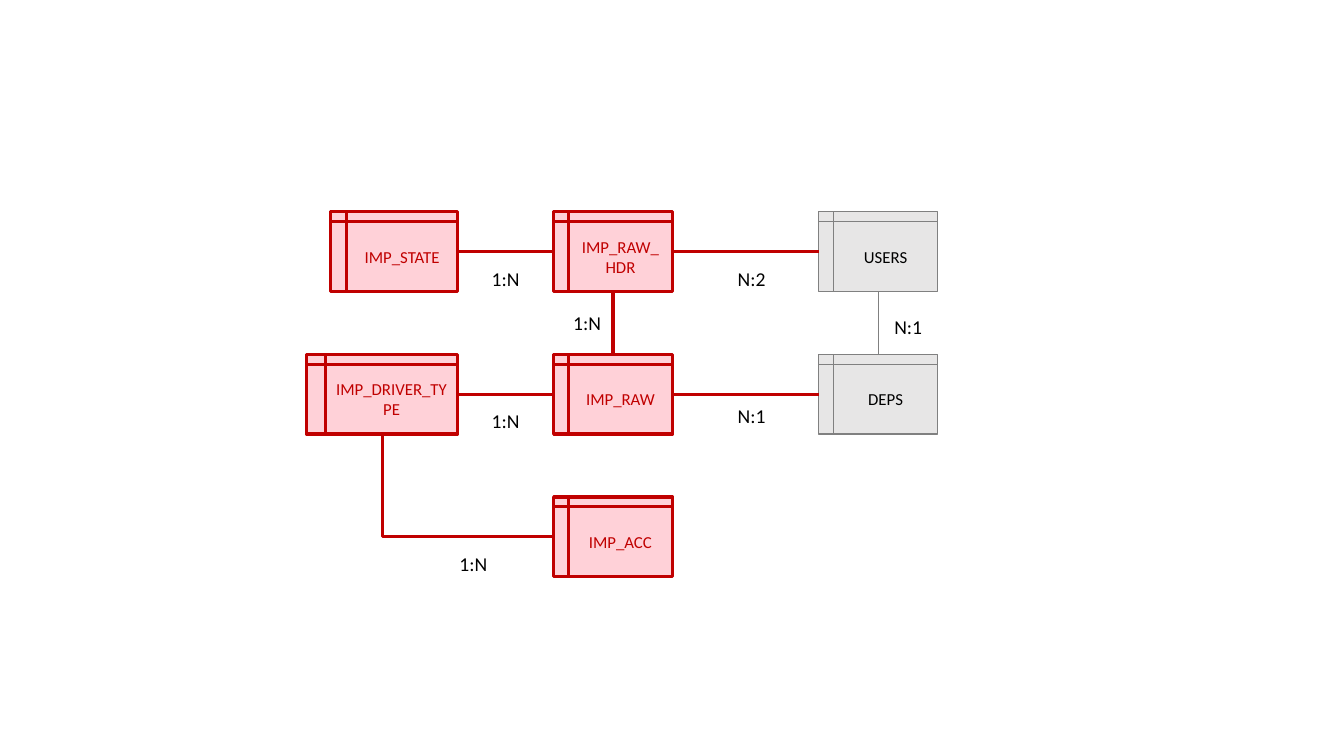
"""Builds an entity diagram of the import tables and their relations."""
import pptx
import pptx.util
import pptx.dml.color
import pptx.enum.shapes
import pptx.enum.text
import pptx.oxml.ns
import lxml.etree

Inches = pptx.util.Inches
Pt = pptx.util.Pt
Align = pptx.enum.text.PP_ALIGN
Connector = pptx.enum.shapes.MSO_CONNECTOR

TOP, LEFT, BOTTOM, RIGHT = range(4)
RED, PINK, GREY, PALE, BLACK = "C00000", "FFD1D8", "808080", "E7E6E6", "000000"


def color(value):
    return pptx.dml.color.RGBColor.from_string(value)


class Diagram:
    font = "Calibri"
    first_row, row_pitch, entity_height = 2.1, 1.415, 0.79

    def __init__(self, slide):
        self.shapes = slide.shapes

    def add_text(self, frame, text, size, ink, align):
        frame.word_wrap = True
        para = frame.paragraphs[0]
        para.alignment = align
        span = para.add_run()
        span.text = text
        span.font.name = self.font
        span.font.size = Pt(size)
        span.font.color.rgb = color(ink)

    def entity(self, name, left, row, width, fill=PINK, line=RED, ink=RED, weight=2.25):
        top = self.first_row + row * self.row_pitch
        box = self.shapes.add_shape(
            pptx.enum.shapes.MSO_SHAPE.FLOWCHART_INTERNAL_STORAGE,
            Inches(left), Inches(top), Inches(width), Inches(self.entity_height))
        box.shadow.inherit = False
        box.fill.solid()
        box.fill.fore_color.rgb = color(fill)
        box.line.color.rgb = color(line)
        box.line.width = Pt(weight)
        box.text_frame.vertical_anchor = pptx.enum.text.MSO_ANCHOR.MIDDLE
        self.add_text(box.text_frame, name, 12, ink, Align.CENTER)
        return box

    def relation(self, start, start_side, end, end_side,
                 line=RED, weight=2.25, kind=Connector.STRAIGHT):
        link = self.shapes.add_connector(kind, 0, 0, 0, 0)
        link.begin_connect(start, start_side)
        link.end_connect(end, end_side)
        link.line.color.rgb = color(line)
        link.line.width = Pt(weight)
        properties = link._element.spPr
        lxml.etree.SubElement(properties, pptx.oxml.ns.qn("a:effectLst"))
        return link

    def corner_relation(self, start, end):
        link = self.relation(start, BOTTOM, end, LEFT, kind=Connector.ELBOW)
        across, down = link.width, link.height
        link.left += (across - down) // 2
        link.top += (down - across) // 2
        link.width, link.height = down, across
        properties = link._element.spPr
        properties.find(pptx.oxml.ns.qn("a:prstGeom")).set("prst", "bentConnector2")
        frame = properties.find(pptx.oxml.ns.qn("a:xfrm"))
        frame.set("rot", str(270 * 60000))
        frame.set("flipH", "1")

    def label(self, text, left, top, align=Align.CENTER):
        box = self.shapes.add_textbox(Inches(left), Inches(top), Inches(0.79), Inches(0.24))
        frame = box.text_frame
        frame.margin_left = frame.margin_right = frame.margin_top = frame.margin_bottom = 0
        frame.auto_size = pptx.enum.text.MSO_AUTO_SIZE.SHAPE_TO_FIT_TEXT
        self.add_text(frame, text, 14, BLACK, align)


deck = pptx.Presentation()
deck.slide_width, deck.slide_height = Inches(13.33), Inches(7.5)
page = Diagram(deck.slides.add_slide(deck.slide_layouts[6]))

external = {"fill": PALE, "line": GREY, "ink": BLACK, "weight": 1}
state = page.entity("IMP_STATE", 3.28, 0, 1.26)
driver_type = page.entity("IMP_DRIVER_TYPE", 3.04, 1, 1.5)
header, raw, account = [
    page.entity(name, 5.49, row, 1.18)
    for row, name in enumerate(["IMP_RAW_HDR", "IMP_RAW", "IMP_ACC"])]
users, departments = [
    page.entity(name, 8.12, row, 1.18, **external)
    for row, name in enumerate(["USERS", "DEPS"])]

for start, end in [(state, header), (header, users), (driver_type, raw), (raw, departments)]:
    page.relation(start, RIGHT, end, LEFT)
page.relation(header, BOTTOM, raw, TOP)
page.relation(users, BOTTOM, departments, TOP, line=GREY, weight=0.5)
page.corner_relation(driver_type, account)

for text, left, top in [("1:N", 4.62, 2.65), ("N:2", 7.06, 2.65), ("1:N", 4.62, 4.06),
                        ("N:1", 7.06, 4.01), ("1:N", 4.3, 5.48)]:
    page.label(text, left, top)
page.label("1:N", 5.17, 3.08, Align.RIGHT)
page.label("N:1", 8.87, 3.12, Align.LEFT)

deck.save("out.pptx")
